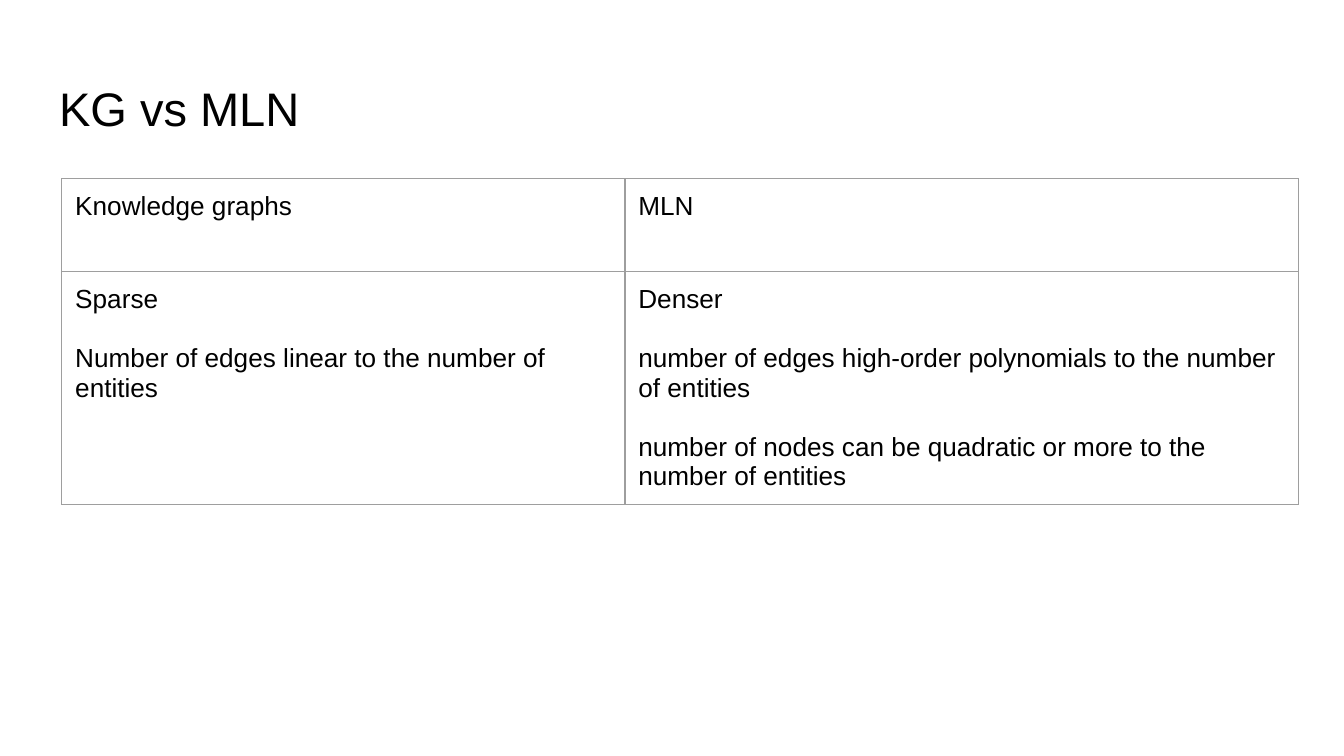
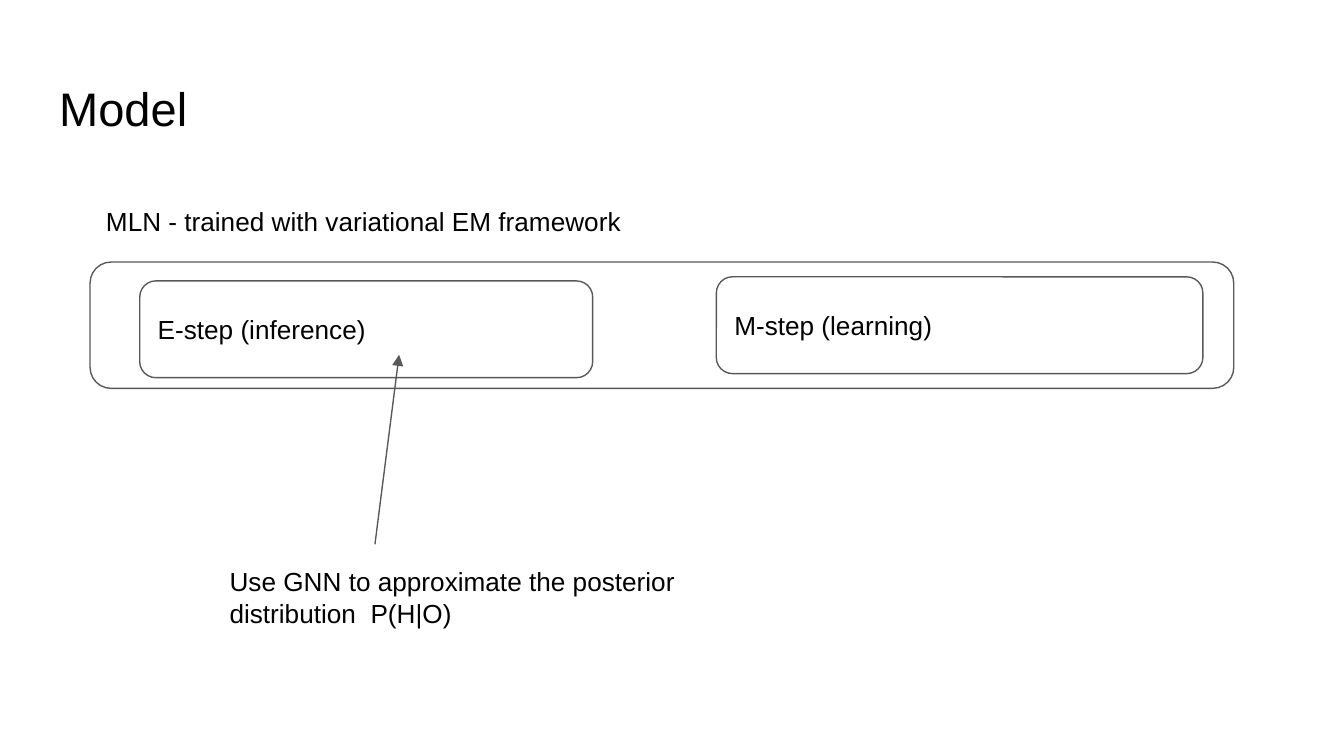
from collections import namedtuple

from lxml.etree import SubElement
from pptx import Presentation
from pptx.dml.color import RGBColor
from pptx.enum.shapes import MSO_CONNECTOR, MSO_SHAPE
from pptx.enum.text import MSO_ANCHOR, MSO_AUTO_SIZE, PP_ALIGN
from pptx.oxml import parse_xml
from pptx.oxml.ns import nsdecls, qn
from pptx.util import Inches, Pt

Box = namedtuple("Box", "left top width height")

GRID_UNIT = Inches(0.1)
INK = "000000"
OUTLINE = "595959"
TABLE_BORDER = "9E9E9E"
FONT = "Arial"
BODY_SIZE = 14
TITLE_SIZE = 25.2
LINE_WIDTH = Pt(0.75)
INSET = Inches(0.1)
TITLE_BOX = Box(3.4, 4.9, 93.2, 6.3)
TABLE_BOX = Box(4.6, 13.3, 92, 21.3)
MODEL_BOX = Box(6.7, 14.3, 85.1, 33.5)


def colour(value):
    return RGBColor.from_string(value)


def grid(length):
    return round(length * GRID_UNIT)


def emu(box):
    return [grid(length) for length in box]


def within(area, left, top, width, height):
    return Box(area.left + left, area.top + top, width, height)


def write(frame, *texts, size=BODY_SIZE, color=INK, gap=0):
    for index, text in enumerate(texts):
        paragraph = frame.paragraphs[0] if index == 0 else frame.add_paragraph()
        paragraph.alignment = PP_ALIGN.LEFT
        paragraph.space_before = Pt(gap if index else 0)
        run = paragraph.add_run()
        run.text = text
        run.font.name = FONT
        run.font.size = Pt(size)
        run.font.color.rgb = colour(color)


def set_frame(frame, anchor=MSO_ANCHOR.TOP, auto_size=MSO_AUTO_SIZE.NONE):
    frame.word_wrap = True
    frame.auto_size = auto_size
    frame.vertical_anchor = anchor
    frame.margin_left = frame.margin_right = INSET
    frame.margin_top = frame.margin_bottom = INSET


def add_titled_slide(presentation, text):
    slide = presentation.slides.add_slide(presentation.slide_layouts[5])
    slide.background.fill.solid()
    slide.background.fill.fore_color.rgb = colour("FFFFFF")
    title = slide.shapes.title
    title.left, title.top, title.width, title.height = emu(TITLE_BOX)
    set_frame(title.text_frame, anchor=MSO_ANCHOR.MIDDLE)
    write(title.text_frame, text, size=TITLE_SIZE)
    return slide


def add_label(slide, box, text):
    label = slide.shapes.add_textbox(*emu(box))
    set_frame(label.text_frame, auto_size=MSO_AUTO_SIZE.SHAPE_TO_FIT_TEXT)
    write(label.text_frame, text)


def add_rounded_box(slide, box, *texts):
    shape = slide.shapes.add_shape(MSO_SHAPE.ROUNDED_RECTANGLE, *emu(box))
    shape.shadow.inherit = False
    shape.fill.background()
    shape.line.color.rgb = colour(OUTLINE)
    shape.line.width = LINE_WIDTH
    set_frame(shape.text_frame, anchor=MSO_ANCHOR.MIDDLE)
    write(shape.text_frame, *texts)


def add_arrow(slide, start, end):
    points = [grid(length) for length in (*start, *end)]
    arrow = slide.shapes.add_connector(MSO_CONNECTOR.STRAIGHT, *points)
    arrow.line.color.rgb = colour(OUTLINE)
    arrow.line.width = LINE_WIDTH
    SubElement(arrow.line._get_or_add_ln(), qn("a:tailEnd"), type="triangle")
    SubElement(arrow._element.spPr, qn("a:effectLst"))


def border_cell(cell):
    properties = cell._tc.get_or_add_tcPr()
    for index, side in enumerate("LRTB"):
        properties.insert(index, parse_xml(
            f'<a:ln{side} {nsdecls("a")} w="{LINE_WIDTH}"><a:solidFill>'
            f'<a:srgbClr val="{TABLE_BORDER}"/></a:solidFill></a:ln{side}>'))


def add_comparison(slide, box, rows, column_widths, row_heights):
    table = slide.shapes.add_table(len(rows), len(column_widths), *emu(box)).table
    table.first_row = table.horz_banding = False
    for column, width in zip(table.columns, column_widths):
        column.width = grid(width)
    for row, height, contents in zip(table.rows, row_heights, rows):
        row.height = grid(height)
        for cell, texts in zip(row.cells, contents):
            cell.margin_left = cell.margin_right = INSET
            cell.margin_top = cell.margin_bottom = INSET
            cell.fill.background()
            border_cell(cell)
            write(cell.text_frame, *texts, gap=16)


def add_model(slide, area):
    add_rounded_box(slide, within(area, 0, 5.2, area.width, 9.4))
    add_label(slide, within(area, 0.2, 0, 44.8, 4.4),
              "MLN - trained with variational EM framework")
    add_rounded_box(slide, within(area, 46.6, 6.3, 36.2, 7.2), "M-step (learning)")
    add_rounded_box(slide, within(area, 3.7, 6.6, 33.7, 7.2), "E-step (inference)")
    add_arrow(slide, (area.left + 21.2, area.top + 26.2),
              (area.left + 23, area.top + 12.1))
    add_label(slide, within(area, 9.4, 26.8, 37.6, 6.7),
              "Use GNN to approximate the posterior distribution  P(H|O)")


def main():
    presentation = Presentation()
    presentation.slide_width = Inches(10)
    presentation.slide_height = presentation.slide_width * 9 // 16

    comparison = add_titled_slide(presentation, "KG vs MLN")
    rows = [
        [["Knowledge graphs"], ["MLN"]],
        [["Sparse", "Number of edges linear to the number of entities"],
         ["Denser",
          "number of edges high-order polynomials to the number of entities",
          "number of nodes can be quadratic or more to the number of entities"]],
    ]
    add_comparison(comparison, TABLE_BOX, rows, (41.9, 50.1), (6.9, 14.4))

    model = add_titled_slide(presentation, "Model")
    add_model(model, MODEL_BOX)

    presentation.save("out.pptx")


if __name__ == "__main__":
    main()
